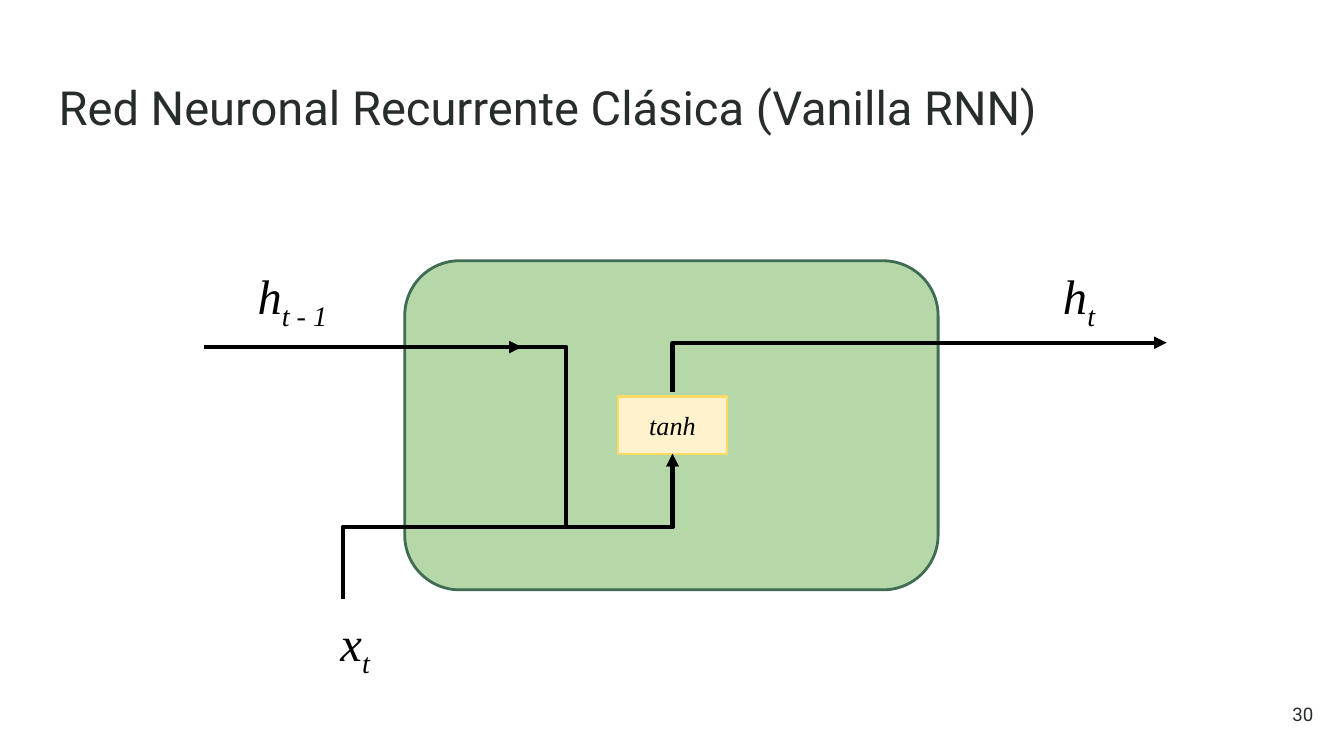
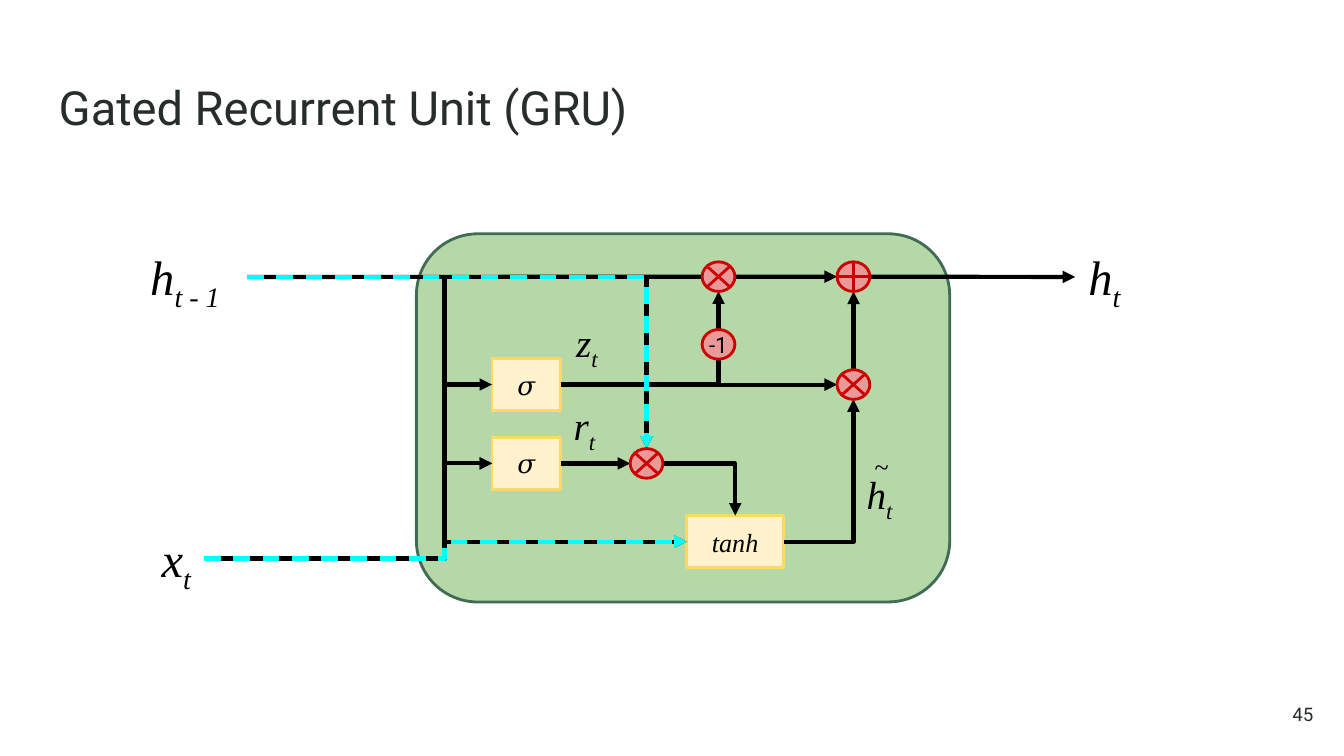
import lxml.etree
import pptx
import pptx.dml.color
import pptx.enum.dml
import pptx.enum.shapes
import pptx.enum.text
import pptx.oxml.ns
import pptx.util

Cm = pptx.util.Cm
Pt = pptx.util.Pt
qn = pptx.oxml.ns.qn
Shape = pptx.enum.shapes.MSO_SHAPE
Align = pptx.enum.text.PP_ALIGN
Anchor = pptx.enum.text.MSO_ANCHOR

COLORS = {
    "text": "272D2A", "black": "000000", "path": "00FFFF",
    "cell": "B6D7A8", "cell line": "406C54",
    "layer": "FFF2CC", "layer line": "FFD966",
    "operation": "EA9999", "operation line": "CC0000",
}
SANS, SERIF = "Roboto", "Times New Roman"
TOP, LEFT, BOTTOM, RIGHT = range(4)
INSET = 0.25
LINE_WIDTH = 2.25
CIRCLE_WIDTH, CIRCLE_HEIGHT = 0.62, 0.56
RADIUS_X, RADIUS_Y = CIRCLE_WIDTH / 2, CIRCLE_HEIGHT / 2

# Vanilla RNN guides, in centimetres
RNN_AXIS, RNN_STATE = 12.71, 6.56

# GRU guides: rows of the cell, columns of the operations, edges of the layers
STATE, NEGATE, UPDATE, RESET, CANDIDATE, INPUT = 5.23, 6.51, 7.27, 8.76, 10.24, 10.56
RESET_X, UPDATE_X, OUTPUT_X = 12.22, 13.58, 16.13
H_START, X_START, H_END = 4.67, 3.86, 20.32
BRANCH = 8.4
SIGMA_LEFT, SIGMA_RIGHT = 9.3, 10.6
TANH_LEFT, TANH_RIGHT = 12.98, 14.81
TANH_X = (TANH_LEFT + TANH_RIGHT) / 2

# layers: name, text, centre, size
# labels: name, base, subscript, box, format
# wires: start, end, options (bends are the x, then the y, of each turn)
SLIDES = [
    {
        "title": "Red Neuronal Recurrente Clásica (Vanilla RNN)",
        "number": "30",
        "cell": (7.65, 4.93, 10.08, 6.22),
        "layers": [("tanh", "tanh", (RNN_AXIS, 8.04), (2.06, 1.09))],
        "labels": [
            ("h previous", "h", "t - 1", (4.62, 4.78, 2.62, 1.63), {}),
            ("x", "x", "t", (5.72, 11.33, 1.52, 1.63), {"align": Align.RIGHT}),
            ("h", "h", "t", (19.84, 4.78, 1.3, 1.63), {}),
        ],
        "wires": [
            ((3.86, RNN_STATE), (9.86, RNN_STATE), {}),
            ((6.48, 11.33), (RNN_AXIS, 8.58), {"bends": (0.5,), "upward": True}),
            ((9.73, RNN_STATE), (RNN_AXIS, 8.58), {"bends": (10.7, 9.96)}),
            ((RNN_AXIS, 7.42), (22.05, 6.48), {"bends": (RNN_AXIS,)}),
        ],
        "operations": [],
    },
    {
        "title": "Gated Recurrent Unit (GRU)",
        "number": "45",
        "cell": (7.87, 4.42, 10.08, 6.96),
        "layers": [
            ("tanh", "tanh", (TANH_X, CANDIDATE), (TANH_RIGHT - TANH_LEFT, 0.99)),
            ("reset", "𝜎", ((SIGMA_LEFT + SIGMA_RIGHT) / 2, RESET), (1.3, 0.99)),
            ("update", "𝜎", ((SIGMA_LEFT + SIGMA_RIGHT) / 2, UPDATE), (1.3, 0.99)),
        ],
        "labels": [
            ("h previous", "h", "t - 1", (2.59, 4.42, 2.08, 1.63), {}),
            ("x", "x", "t", (2.34, 9.75, 1.52, 1.63), {"align": Align.RIGHT}),
            ("h", "h", "t", (H_END, 4.42, 1.3, 1.63), {}),
            ("z", "z", "t", (10.64, 5.77, 1.3, 1.42), {"size": 21}),
            ("r", "r", "t", (10.59, 7.34, 1.3, 1.42), {"size": 21}),
            ("candidate", "h", "t", (16.13, 8.64, 1.19, 1.42), {"size": 21}),
            ("tilde", "~", "", (16.28, 8.26, 0.86, 1.12), {"size": 14, "italic": False}),
        ],
        "wires": [
            ((H_START, STATE), (SIGMA_LEFT, RESET), {"bends": (BRANCH,)}),
            ((X_START, INPUT), (SIGMA_LEFT, RESET), {"bends": (BRANCH,)}),
            ((H_START, STATE), (RESET_X, RESET - RADIUS_Y), {}),
            ((SIGMA_RIGHT, RESET), (RESET_X - RADIUS_X, RESET), {"begin": ("reset", RIGHT)}),
            ((X_START, INPUT), (TANH_LEFT, CANDIDATE), {"bends": (BRANCH,)}),
            ((X_START, INPUT), (TANH_LEFT, CANDIDATE),
             {"bends": (BRANCH,), "color": "path", "dashed": True}),
            ((RESET_X + RADIUS_X, RESET), (TANH_X, CANDIDATE - 0.495), {}),
            ((H_START, STATE), (SIGMA_LEFT, UPDATE), {"bends": (BRANCH,)}),
            ((H_START, STATE), (OUTPUT_X - RADIUS_X, STATE), {"begin": ("h previous", RIGHT)}),
            ((SIGMA_RIGHT, UPDATE), (UPDATE_X, STATE + RADIUS_Y), {}),
            ((SIGMA_RIGHT, UPDATE), (OUTPUT_X - RADIUS_X, UPDATE), {"begin": ("update", RIGHT)}),
            ((H_START, STATE), (RESET_X, RESET - RADIUS_Y), {"color": "path", "dashed": True}),
            ((TANH_RIGHT, CANDIDATE), (OUTPUT_X, UPDATE + RADIUS_Y), {}),
            ((OUTPUT_X, UPDATE - RADIUS_Y), (OUTPUT_X, STATE + RADIUS_Y), {}),
            ((OUTPUT_X + RADIUS_X, STATE), (H_END, STATE), {"end_at": ("h", LEFT)}),
        ],
        "operations": [
            (Shape.FLOWCHART_SUMMING_JUNCTION, RESET_X, RESET, ""),
            (Shape.FLOWCHART_OR, OUTPUT_X, STATE, ""),
            (Shape.OVAL, UPDATE_X, NEGATE, "-1"),
            (Shape.FLOWCHART_SUMMING_JUNCTION, UPDATE_X, STATE, ""),
            (Shape.FLOWCHART_SUMMING_JUNCTION, OUTPUT_X, UPDATE, ""),
        ],
    },
]


def rgb(name):
    return pptx.dml.color.RGBColor.from_string(COLORS[name])


def write(shape, text, subscript="", size=26, font=SERIF, color="black", italic=False,
          align=Align.LEFT, anchor=Anchor.TOP, inset=INSET, wrap=True):
    frame = shape.text_frame
    frame.word_wrap = wrap
    frame.auto_size = pptx.enum.text.MSO_AUTO_SIZE.NONE
    frame.vertical_anchor = anchor
    frame.margin_left = frame.margin_right = Cm(inset)
    frame.margin_top = frame.margin_bottom = Cm(inset)
    paragraph = frame.paragraphs[0]
    paragraph.alignment = align
    for part, baseline in ((text, None), (subscript, "-25000")):
        if not part:
            continue
        run = paragraph.add_run()
        run.text = part
        run.font.name = font
        run.font.size = Pt(size)
        run.font.italic = italic
        run.font.color.rgb = rgb(color)
        if baseline:
            run.font._element.set("baseline", baseline)


def add_box(slide, kind, box, style):
    """Add a filled shape; style names its fill and, with " line", its outline."""
    shape = slide.shapes.add_shape(kind, *map(Cm, box))
    shape.shadow.inherit = False
    shape.fill.solid()
    shape.fill.fore_color.rgb = rgb(style)
    shape.line.color.rgb = rgb(style + " line")
    shape.line.width = Pt(1.5)
    return shape


def centred(x, y, width, height):
    return x - width / 2, y - height / 2, width, height


def add_wire(slide, shapes, start, end, bends=(), upward=False, color="black",
             dashed=False, begin=None, end_at=None):
    """Add an arrow, level first unless upward, where the bend is a share of the height."""
    (x1, y1), (x2, y2) = start, end
    straight = x1 == x2 or y1 == y2
    if upward:
        shares = bends
        middle_x, middle_y = (x1 + x2) / 2, (y1 + y2) / 2
        half_x, half_y = abs(y2 - y1) / 2, abs(x2 - x1) / 2
        x1, x2 = middle_x - half_x, middle_x + half_x
        y1, y2 = middle_y - half_y, middle_y + half_y
    else:
        shares = [(bend - origin) / (target - origin)
                  for bend, origin, target in zip(bends, (x1, y1), (x2, y2))]
    kinds = pptx.enum.shapes.MSO_CONNECTOR
    connector = slide.shapes.add_connector(
        kinds.STRAIGHT if straight else kinds.ELBOW, *map(Cm, (x1, y1, x2, y2)))
    if begin:
        connector.begin_connect(shapes[begin[0]], begin[1])
    if end_at:
        connector.end_connect(shapes[end_at[0]], end_at[1])
    connector.line.color.rgb = rgb(color)
    connector.line.width = Pt(LINE_WIDTH)
    if dashed:
        connector.line.dash_style = pptx.enum.dml.MSO_LINE.DASH

    properties = connector._element.spPr
    if upward:
        properties.find(qn("a:xfrm")).set("rot", "16200000")
    if not straight:
        geometry = properties.find(qn("a:prstGeom"))
        geometry.set("prst", f"bentConnector{2 + len(bends)}")
        for index, share in enumerate(shares, 1):
            lxml.etree.SubElement(geometry.find(qn("a:avLst")), qn("a:gd"),
                                  name=f"adj{index}", fmla=f"val {round(share * 100000)}")
    lxml.etree.SubElement(properties.find(qn("a:ln")), qn("a:tailEnd"), type="triangle")
    lxml.etree.SubElement(properties, qn("a:effectLst"))


def add_frame(slide, title, number):
    """Fill the title and add the slide number."""
    heading = slide.shapes.title
    heading.left, heading.top, heading.width, heading.height = map(Cm, (0.86, 1.24, 23.67, 1.6))
    write(heading, title, size=25.2, font=SANS, color="text")
    footer = slide.shapes.add_textbox(*map(Cm, (23.55, 12.95, 1.52, 1.09)))
    write(footer, number, size=10, font=SANS, color="text",
          align=Align.RIGHT, anchor=Anchor.MIDDLE)


def build_slide(presentation, content):
    slide = presentation.slides.add_slide(presentation.slide_layouts[5])
    add_frame(slide, content["title"], content["number"])
    add_box(slide, Shape.ROUNDED_RECTANGLE, content["cell"], "cell")
    shapes = {}
    for name, text, centre, size in content["layers"]:
        shapes[name] = add_box(slide, Shape.RECTANGLE, centred(*centre, *size), "layer")
        write(shapes[name], text, size=14, italic=True,
              align=Align.CENTER, anchor=Anchor.MIDDLE)
    for name, base, subscript, box, style in content["labels"]:
        shapes[name] = slide.shapes.add_textbox(*map(Cm, box))
        write(shapes[name], base, subscript, **{"italic": True, **style})
    for start, end, options in content["wires"]:
        add_wire(slide, shapes, start, end, **options)
    for kind, x, y, text in content["operations"]:
        circle = add_box(slide, kind, centred(x, y, CIRCLE_WIDTH, CIRCLE_HEIGHT), "operation")
        if text:
            write(circle, text, size=12, font=SANS, align=Align.CENTER,
                  anchor=Anchor.MIDDLE, inset=0, wrap=False)


def main():
    presentation = pptx.Presentation()
    presentation.slide_width, presentation.slide_height = Cm(25.4), Cm(14.29)
    for content in SLIDES:
        build_slide(presentation, content)
    presentation.save("out.pptx")


if __name__ == "__main__":
    main()
